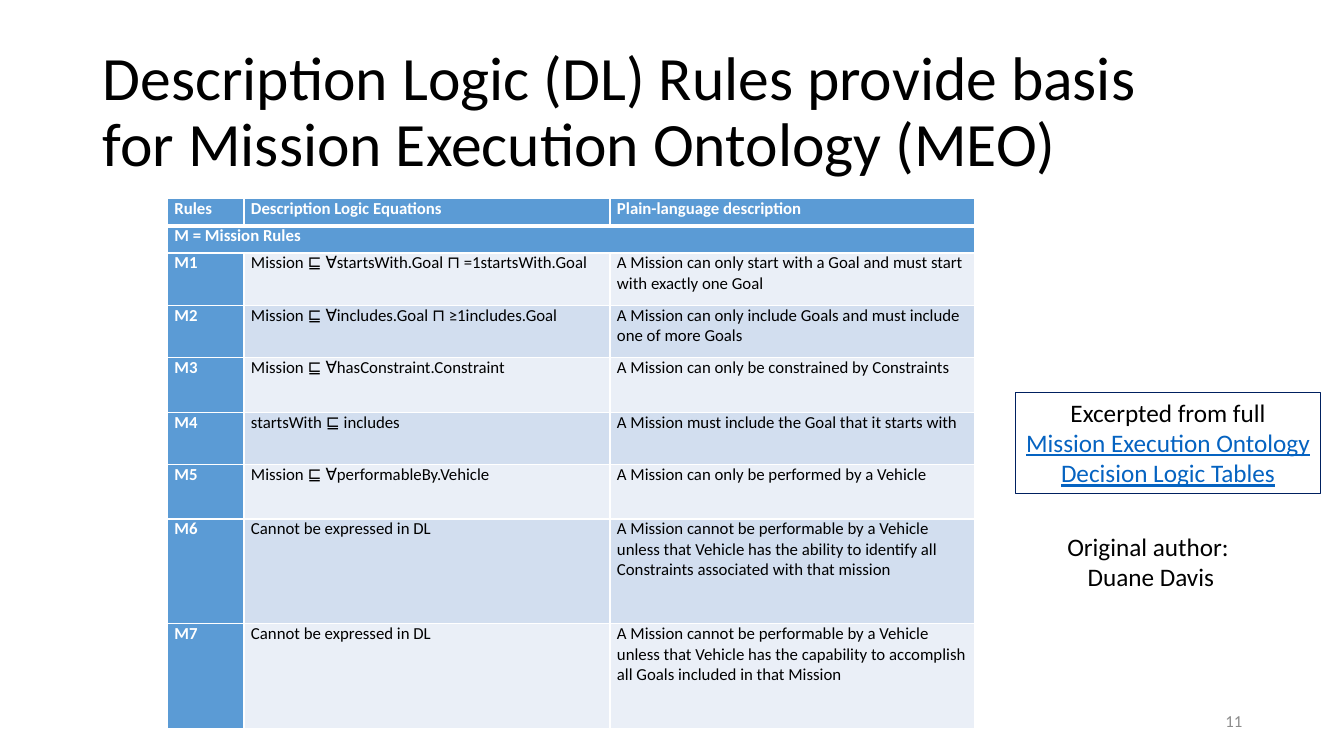
from lxml import etree
from pptx import Presentation
from pptx.dml.color import RGBColor
from pptx.enum.shapes import MSO_SHAPE
from pptx.enum.text import MSO_ANCHOR, MSO_AUTO_SIZE, PP_ALIGN
from pptx.oxml.ns import qn
from pptx.util import Inches, Pt

FONT = "Calibri"
BLACK = RGBColor(0x00, 0x00, 0x00)
WHITE = RGBColor(0xFF, 0xFF, 0xFF)
GRAY = RGBColor(0x8C, 0x8C, 0x8C)
NAVY = RGBColor(0x00, 0x20, 0x60)
LINK_BLUE = RGBColor(0x05, 0x63, 0xC1)
HEADER_BLUE = RGBColor(0x5B, 0x9B, 0xD5)
BAND_COLORS = (RGBColor(0xEA, 0xEF, 0xF7), RGBColor(0xD2, 0xDE, 0xEF))

HEADINGS = ("Rules", "Description Logic Equations", "Plain-language description")
GROUP_HEADING = "M = Mission Rules"
RULES = (
    ("M1", "Mission ⊑ ∀startsWith.Goal ⊓ =1startsWith.Goal",
     "A Mission can only start with a Goal and must start with exactly one Goal"),
    ("M2", "Mission ⊑ ∀includes.Goal ⊓ ≥1includes.Goal",
     "A Mission can only include Goals and must include one of more Goals"),
    ("M3", "Mission ⊑ ∀hasConstraint.Constraint",
     "A Mission can only be constrained by Constraints"),
    ("M4", "startsWith ⊑ includes",
     "A Mission must include the Goal that it starts with"),
    ("M5", "Mission ⊑ ∀performableBy.Vehicle",
     "A Mission can only be performed by a Vehicle"),
    ("M6", "Cannot be expressed in DL",
     "A Mission cannot be performable by a Vehicle unless that Vehicle has the "
     "ability to identify all Constraints associated with that mission"),
    ("M7", "Cannot be expressed in DL",
     "A Mission cannot be performable by a Vehicle unless that Vehicle has the "
     "capability to accomplish all Goals included in that Mission"),
)
COLUMN_WIDTHS = (0.76, 3.63, 3.62)
ROW_HEIGHTS = (0.27, 0.27, 0.52, 0.52, 0.54, 0.52, 0.54, 1.04, 1.04)


def add_run(paragraph, text, size, color, bold=False, underline=False):
    run = paragraph.add_run()
    run.text = text
    font = run.font
    font.name, font.size, font.bold, font.underline = FONT, Pt(size), bold, underline
    font.color.rgb = color


def add_title(slide, text):
    title = slide.shapes.title
    title.left, title.top = Inches(0.92), Inches(0.4)
    title.width, title.height = Inches(10.71), Inches(1.45)
    frame = title.text_frame
    frame.auto_size = MSO_AUTO_SIZE.NONE
    frame.vertical_anchor = MSO_ANCHOR.MIDDLE
    paragraph = frame.paragraphs[0]
    paragraph.alignment = PP_ALIGN.LEFT
    paragraph.line_spacing = 0.9
    add_run(paragraph, text, 44, BLACK)


def set_borders(cell, top=1, bottom=1):
    """Give the cell white borders; widths are in points."""
    properties = cell._tc.get_or_add_tcPr()
    for side, width in (("L", 1), ("R", 1), ("T", top), ("B", bottom)):
        line = etree.SubElement(properties, qn(f"a:ln{side}"), w=str(Pt(width)))
        fill = etree.SubElement(line, qn("a:solidFill"))
        etree.SubElement(fill, qn("a:srgbClr"), val=str(WHITE))


def fill_cell(cell, text, fill_color, heading):
    cell.margin_left = cell.margin_right = Inches(0.07)
    cell.margin_top = cell.margin_bottom = Inches(0)
    cell.fill.solid()
    cell.fill.fore_color.rgb = fill_color
    add_run(cell.text_frame.paragraphs[0], text, 12,
            WHITE if heading else BLACK, bold=heading)


def add_rules_table(slide):
    table = slide.shapes.add_table(
        len(ROW_HEIGHTS), len(COLUMN_WIDTHS), Inches(1.66), Inches(1.97),
        Inches(sum(COLUMN_WIDTHS)), Inches(sum(ROW_HEIGHTS))).table
    for column, width in zip(table.columns, COLUMN_WIDTHS):
        column.width = Inches(width)
    for row_index, (row, height) in enumerate(zip(table.rows, ROW_HEIGHTS)):
        row.height = Inches(height)
        for cell in row.cells:
            set_borders(cell, top=3 if row_index == 1 else 1,
                        bottom=3 if row_index == 0 else 1)

    for column_index, heading in enumerate(HEADINGS):
        fill_cell(table.cell(0, column_index), heading, HEADER_BLUE, True)
    table.cell(1, 0).merge(table.cell(1, 2))
    fill_cell(table.cell(1, 0), GROUP_HEADING, HEADER_BLUE, True)
    for rule_index, rule in enumerate(RULES):
        band = BAND_COLORS[rule_index % 2]
        for column_index, text in enumerate(rule):
            is_label = column_index == 0
            fill_cell(table.cell(rule_index + 2, column_index), text,
                      HEADER_BLUE if is_label else band, is_label)


def write_lines(shape, lines, size, alignment):
    """Write one paragraph for each (text, color, underline)."""
    frame = shape.text_frame
    frame.word_wrap = True
    frame.vertical_anchor = MSO_ANCHOR.TOP
    for index, (text, color, underline) in enumerate(lines):
        paragraph = frame.add_paragraph() if index else frame.paragraphs[0]
        paragraph.alignment = alignment
        add_run(paragraph, text, size, color, underline=underline)


def add_excerpt_box(slide):
    box = slide.shapes.add_shape(MSO_SHAPE.RECTANGLE, Inches(10.07), Inches(3.89),
                                 Inches(3.03), Inches(1.01))
    box.shadow.inherit = False
    box.fill.background()
    box.line.color.rgb = NAVY
    box.line.width = Pt(0.75)
    write_lines(box, (("Excerpted from full", BLACK, False),
                      ("Mission Execution Ontology Decision Logic Tables",
                       LINK_BLUE, True)), 18, PP_ALIGN.CENTER)


def add_author(slide):
    author = slide.shapes.add_textbox(Inches(9.9), Inches(5.22),
                                      Inches(3.03), Inches(0.71))
    write_lines(author, (("Original author: ", BLACK, False),
                         ("Duane Davis", BLACK, False)), 18, PP_ALIGN.CENTER)


def add_slide_number(slide):
    number = slide.shapes.add_textbox(Inches(9.42), Inches(6.95),
                                      Inches(3), Inches(0.4))
    write_lines(number, (("11", GRAY, False),), 12, PP_ALIGN.RIGHT)
    number.text_frame.vertical_anchor = MSO_ANCHOR.MIDDLE


def main():
    presentation = Presentation()
    presentation.slide_width = Inches(13.33)
    presentation.slide_height = Inches(7.5)
    slide = presentation.slides.add_slide(presentation.slide_layouts[5])
    add_title(slide, "Description Logic (DL) Rules provide basis "
                     "for Mission Execution Ontology (MEO)")
    add_rules_table(slide)
    add_excerpt_box(slide)
    add_slide_number(slide)
    add_author(slide)
    presentation.save("out.pptx")


if __name__ == "__main__":
    main()
